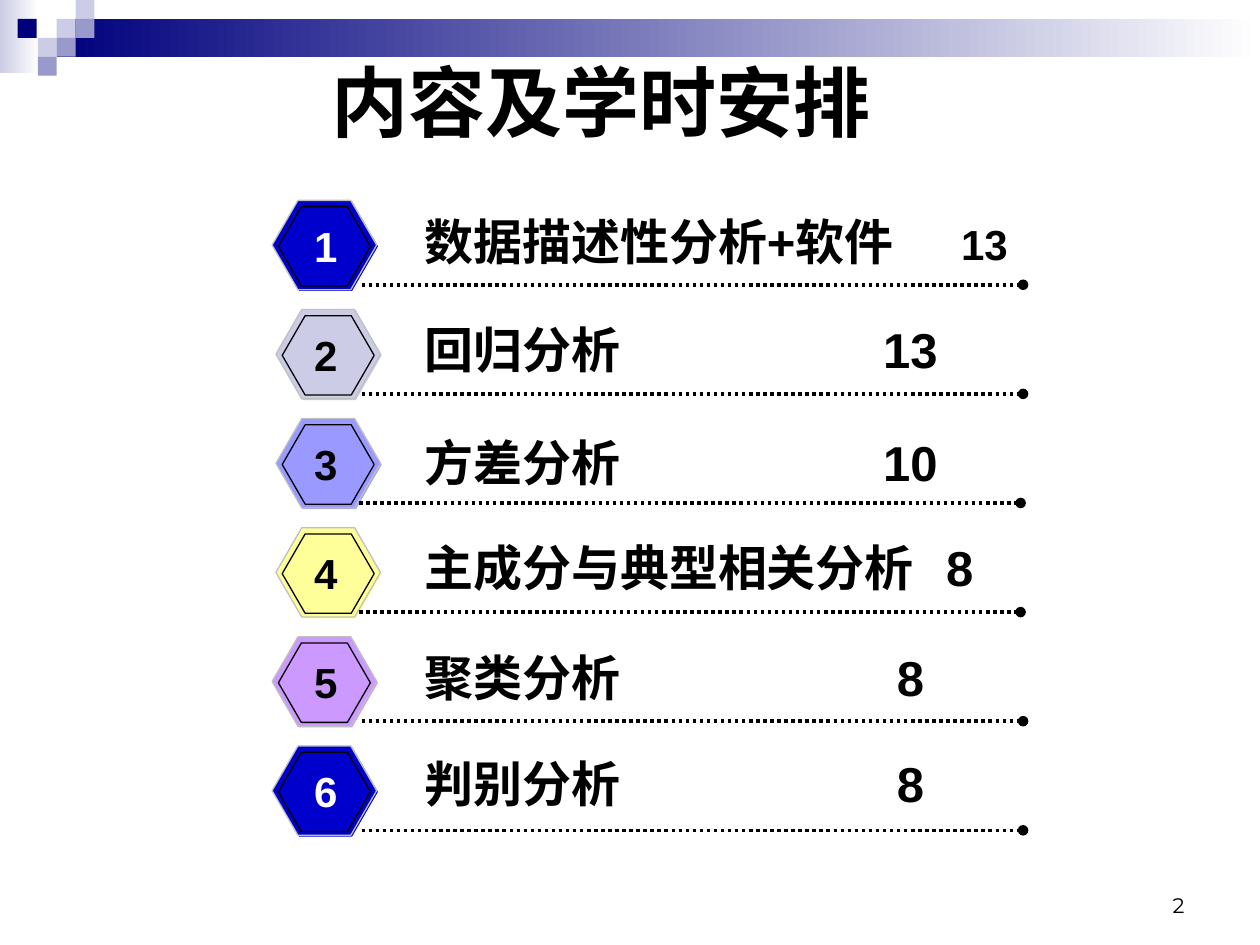
from dataclasses import dataclass

from lxml import etree
from pptx import Presentation
from pptx.dml.color import RGBColor
from pptx.enum.dml import MSO_LINE
from pptx.enum.shapes import MSO_CONNECTOR, MSO_SHAPE
from pptx.enum.text import MSO_ANCHOR, MSO_AUTO_SIZE, PP_ALIGN
from pptx.oxml.ns import qn
from pptx.util import Inches, Pt

RECTANGLE, HEXAGON = MSO_SHAPE.RECTANGLE, MSO_SHAPE.HEXAGON
STRAIGHT, DOTTED = MSO_CONNECTOR.STRAIGHT, MSO_LINE.ROUND_DOT
LEFT, CENTER, RIGHT = PP_ALIGN.LEFT, PP_ALIGN.CENTER, PP_ALIGN.RIGHT
TOP, MIDDLE, BOTTOM = MSO_ANCHOR.TOP, MSO_ANCHOR.MIDDLE, MSO_ANCHOR.BOTTOM
NO_FIT = MSO_AUTO_SIZE.NONE


@dataclass(frozen=True)
class Theme:
    """Colours, fonts and type sizes of the slide."""

    navy: str = "00007D"
    lavender: str = "CCCCE6"
    slate: str = "9999CC"
    blue: str = "0000CC"
    periwinkle: str = "9999FF"
    yellow: str = "FFFF99"
    violet: str = "CC99FF"
    silver: str = "C0C0C0"
    black: str = "000000"
    white: str = "FFFFFF"
    font: str = "Arial"
    number_font: str = "Montserrat"
    title_size: int = 44
    topic_size: int = 28
    badge_size: int = 24
    page_size: int = 12


@dataclass(frozen=True)
class Topic:
    """One line of the course plan with its placement."""

    name: str
    hours: str
    color: str
    text_top: float
    hours_tab: float
    hours_size: int
    badge_left: float = 2.16
    rule_left: float = 2.87


THEME = Theme()
BIG, SMALL = THEME.topic_size, THEME.badge_size
TOPICS = [
    Topic("数据描述性分析+软件", "13", THEME.blue, 1.63, 4.26, SMALL),
    Topic("回归分析", "13", THEME.lavender, 2.49, 3.64, BIG, 2.19),
    Topic("方差分析", "10", THEME.periwinkle, 3.38, 3.64, BIG, 2.19, 2.85),
    Topic("主成分与典型相关分析", "8", THEME.yellow, 4.22, 4.14, BIG, 2.19, 2.85),
    Topic("聚类分析", "8", THEME.violet, 5.09, 3.75, BIG),
    Topic("判别分析", "8", THEME.blue, 5.93, 3.75, BIG),
]
FIRST_TOP, LAST_TOP = 1.59, 5.92
PITCH = (LAST_TOP - FIRST_TOP) / (len(TOPICS) - 1)
RULE_LENGTH = 5.25
TILE = 0.15
TILES = [
    (0.45, 0.15, THEME.lavender), (0.6, 0, THEME.lavender),
    (0.6, 0.15, THEME.slate), (0.3, 0.3, THEME.lavender),
    (0.14, 0.15, THEME.navy), (0.45, 0.3, THEME.slate),
    (0.3, 0.45, THEME.slate),
]


def rgb(color):
    """Turn a hex string into a colour."""
    return RGBColor.from_string(color)


def style(paragraph, size, color=THEME.black, bold=True, font=THEME.font, align=LEFT):
    """Set the font and alignment of a paragraph."""
    paragraph.alignment = align
    paragraph.font.name = font
    paragraph.font.size = Pt(size)
    paragraph.font.bold = bold
    paragraph.font.color.rgb = rgb(color)


def add_shape(shapes, kind, place, fill, line=None):
    """Add a flat filled shape with an optional thin outline."""
    shape = shapes.add_shape(kind, *map(Inches, place))
    shape.shadow.inherit = False
    shape.fill.solid()
    shape.fill.fore_color.rgb = rgb(fill)
    if line:
        shape.line.color.rgb = rgb(line)
        shape.line.width = Pt(0.75)
    else:
        shape.line.fill.background()
    return shape


def add_fade(shapes, place, color):
    """Add a rectangle that fades to white on the right."""
    fill = add_shape(shapes, RECTANGLE, place, color).fill
    fill.gradient()
    fill.gradient_angle = 0
    for stop, position, shade in zip(fill.gradient_stops, (0, 1), (color, THEME.white)):
        stop.position = position
        stop.color.rgb = rgb(shade)


def add_banner(slide):
    """Draw the fading band and the tiles at the top left."""
    group = slide.shapes.add_group_shape()
    add_fade(group.shapes, (0, 0, 0.31, 0.58), THEME.lavender)
    add_fade(group.shapes, (0.45, 0.15, 9.55, 0.3), THEME.navy)
    for left, top, color in TILES:
        add_shape(group.shapes, RECTANGLE, (left, top, TILE, TILE), color)


def add_title(slide, text):
    """Place and format the title."""
    title = slide.shapes.title
    title.left, title.top, title.width, title.height = map(Inches, (0.2, 0.21, 9, 1.18))
    frame = title.text_frame
    frame.text = text
    frame.auto_size = NO_FIT
    frame.vertical_anchor = MIDDLE
    frame.margin_left = Inches(2.43)
    style(frame.paragraphs[0], THEME.title_size)


def add_text_box(slide, place, anchor=TOP):
    """Add a wrapping text box and return its first paragraph."""
    frame = slide.shapes.add_textbox(*map(Inches, place)).text_frame
    frame.word_wrap = True
    frame.vertical_anchor = anchor
    return frame.paragraphs[0]


def add_badge(slide, number, topic, top):
    """Draw the layered hexagon and its number."""
    left, color = topic.badge_left, topic.color
    group = slide.shapes.add_group_shape()
    layers = [
        ((left + 0.01, top + 0.01, 0.83, 0.71), None),
        ((left, top, 0.83, 0.71), THEME.silver),
        ((left + 0.05, top + 0.05, 0.73, 0.63), THEME.black),
    ]
    for place, line in layers:
        hexagon = add_shape(group.shapes, HEXAGON, place, color, line)
        hexagon.adjustments[0] = 0.289
    label = add_shape(slide.shapes, RECTANGLE, (2.4, top + 0.11, 0.37, 0.5), color)
    frame = label.text_frame
    frame.text = str(number)
    frame.vertical_anchor = TOP
    frame.margin_left = frame.margin_right = 0
    ink = THEME.white if color == THEME.blue else THEME.black
    style(frame.paragraphs[0], THEME.badge_size, ink, align=CENTER)


def add_rule(slide, left, top):
    """Draw a dotted line that ends in a dot."""
    ends = map(Inches, (left, top, left + RULE_LENGTH, top))
    rule = slide.shapes.add_connector(STRAIGHT, *ends)
    rule.line.color.rgb = rgb(THEME.black)
    rule.line.width = Pt(2)
    rule.line.dash_style = DOTTED
    etree.SubElement(rule.line._get_or_add_ln(), qn("a:tailEnd"), type="oval")
    etree.SubElement(rule._element.spPr, qn("a:effectLst"))


def add_topic_text(slide, topic):
    """Write the topic name with its hours at a tab stop."""
    para = add_text_box(slide, (3.27, topic.text_top, 4.88, 0.57))
    tabs = etree.SubElement(para._p.get_or_add_pPr(), qn("a:tabLst"))
    etree.SubElement(tabs, qn("a:tab"), pos=str(Inches(topic.hours_tab)), algn="l")
    style(para, THEME.topic_size)
    para.add_run().text = topic.name
    span = para.add_run()
    span.text = "\t" + topic.hours
    if topic.hours_size != THEME.topic_size:
        span.font.size = Pt(topic.hours_size)


def main():
    """Build the course plan slide."""
    deck = Presentation()
    deck.slide_width, deck.slide_height = Inches(10), Inches(7.5)
    slide = deck.slides.add_slide(deck.slide_layouts[5])
    add_banner(slide)
    add_title(slide, "内容及学时安排")
    for index, topic in enumerate(TOPICS):
        top = FIRST_TOP + index * PITCH
        add_badge(slide, index + 1, topic, top)
        add_rule(slide, topic.rule_left, top + 0.67)
        add_topic_text(slide, topic)
    page_number = add_text_box(slide, (7.17, 6.83, 2.33, 0.5), BOTTOM)
    page_number.text = "2"
    style(page_number, THEME.page_size, bold=False, font=THEME.number_font, align=RIGHT)
    deck.save("out.pptx")


if __name__ == "__main__":
    main()
